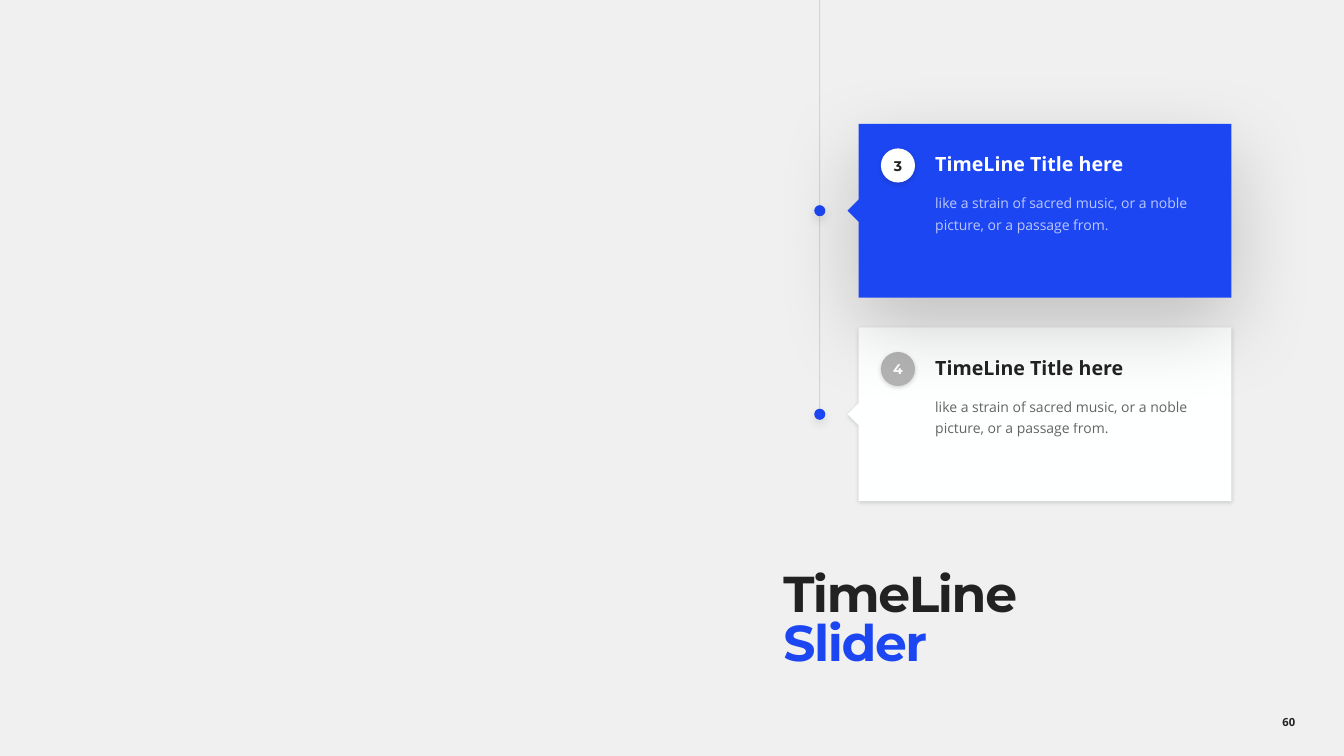
from lxml.etree import SubElement
from pptx import Presentation
from pptx.dml.color import RGBColor
from pptx.enum.shapes import MSO_CONNECTOR, MSO_SHAPE
from pptx.enum.text import MSO_ANCHOR, PP_ALIGN
from pptx.oxml.ns import qn
from pptx.util import Cm, Pt

BACKGROUND = RGBColor(0xF0, 0xF0, 0xF0)
INK = RGBColor(0x22, 0x22, 0x22)
BLUE = RGBColor(0x1D, 0x46, 0xF3)
PAPER = RGBColor(0xFE, 0xFF, 0xFF)
WHITE = RGBColor(0xFF, 0xFF, 0xFF)
GRAY = RGBColor(0xB4, 0xB4, 0xB4)

# Shadows: opacity in percent, blur and distance in points
SOFT = (15, 3, 1)
DEEP = (20, 60, 20)
DOT_GLOW = (11, 7, 3)

CARD_LEFT, CARD_WIDTH, CARD_HEIGHT = 21.36, 9.67, 4.38
POINTER = 0.28
LINE_X = 20.66
CARD_TITLE = "TimeLine Title here"
CARD_BODY = "like a strain of sacred music, or a noble picture, or a passage from."


def set_opacity(element, percent):
    for color in element.iter(qn("a:srgbClr")):
        SubElement(color, qn("a:alpha"), val=str(percent * 1000))


def paint(shape, color, shadow):
    shape.fill.solid()
    shape.fill.fore_color.rgb = color
    shape.line.fill.background()
    shape.shadow.inherit = False
    opacity, blur, distance = shadow
    effects = shape._element.spPr.find(qn("a:effectLst"))
    outer = SubElement(effects, qn("a:outerShdw"), blurRad=str(Pt(blur)),
                       dist=str(Pt(distance)), dir="5400000", algn="t", rotWithShape="0")
    SubElement(outer, qn("a:srgbClr"), val="000000")
    set_opacity(outer, opacity)


def set_frame(frame, left=0, top=0, right=0, bottom=0, anchor=MSO_ANCHOR.TOP):
    frame.word_wrap = True
    frame.vertical_anchor = anchor
    frame.margin_left, frame.margin_top = Cm(left), Cm(top)
    frame.margin_right, frame.margin_bottom = Cm(right), Cm(bottom)


def add_run(paragraph, text, size, font, color, bold=True):
    run = paragraph.add_run()
    run.text = text
    run.font.size = Pt(size)
    run.font.name = font
    run.font.bold = bold
    run.font.color.rgb = color
    return run


def add_circle(slide, left, top, size, color, shadow):
    circle = slide.shapes.add_shape(MSO_SHAPE.OVAL, Cm(left), Cm(top), Cm(size), Cm(size))
    paint(circle, color, shadow)
    return circle


def add_card(slide, top, number, fill, shadow, text_color, badge_fill, badge_color):
    # Panel with a pointer towards the line
    left, right = CARD_LEFT, CARD_LEFT + CARD_WIDTH
    body, middle, bottom = left + POINTER, top + CARD_HEIGHT / 2, top + CARD_HEIGHT
    outline = [(right, top), (right, bottom), (body, bottom), (body, middle + POINTER),
               (left, middle), (body, middle - POINTER)]
    builder = slide.shapes.build_freeform(Cm(body), Cm(top))
    builder.add_line_segments([(Cm(x), Cm(y)) for x, y in outline], close=True)
    panel = builder.convert_to_shape()
    paint(panel, fill, shadow)

    # Heading and body text
    frame = panel.text_frame
    set_frame(frame, 2.21, 0.71, 0.71, 0.13)
    heading = frame.paragraphs[0]
    heading.alignment = PP_ALIGN.LEFT
    add_run(heading, CARD_TITLE, 14, "Open Sans", text_color)
    description = frame.add_paragraph()
    description.alignment = PP_ALIGN.LEFT
    description.line_spacing = 1.3
    description.space_before = Pt(10)
    run = add_run(description, CARD_BODY, 10, "Open Sans", text_color, bold=False)
    set_opacity(run._r, 70)

    # Number badge
    badge = add_circle(slide, left + 0.84, top + 0.62, 0.86, badge_fill, SOFT)
    set_frame(badge.text_frame, anchor=MSO_ANCHOR.MIDDLE)
    label = badge.text_frame.paragraphs[0]
    label.alignment = PP_ALIGN.CENTER
    add_run(label, number, 10, "Montserrat", badge_color)


def add_timeline(slide, end, stops):
    line = slide.shapes.add_connector(MSO_CONNECTOR.STRAIGHT, Cm(LINE_X), Cm(0),
                                      Cm(LINE_X), Cm(end))
    line.line.color.rgb = INK
    line.line.width = Pt(0.5)
    set_opacity(line._element.spPr, 20)
    SubElement(line._element.spPr, qn("a:effectLst"))
    size = 0.28
    for stop in stops:
        add_circle(slide, LINE_X - size / 2, stop - size / 2, size, BLUE, DOT_GLOW)


def add_title(slide, left, top, width, height):
    box = slide.shapes.add_textbox(Cm(left), Cm(top), Cm(width), Cm(height))
    set_frame(box.text_frame, top=0.53)
    title = box.text_frame.paragraphs[0]
    title.line_spacing = 0.8
    first = add_run(title, "TimeLine", 36, "Montserrat", INK)
    title.add_line_break()
    second = add_run(title, "Slider", 36, "Montserrat", BLUE)
    for run in (first, second):
        run._r.get_or_add_rPr().set("spc", "-100")


def add_page_number(slide, left, top, width, height):
    box = slide.shapes.add_textbox(Cm(left), Cm(top), Cm(width), Cm(height))
    set_frame(box.text_frame, anchor=MSO_ANCHOR.MIDDLE)
    number = box.text_frame.paragraphs[0]
    number.alignment = PP_ALIGN.CENTER
    add_run(number, "60", 8, "Open Sans", INK)


def main():
    deck = Presentation()
    deck.slide_width, deck.slide_height = Cm(33.87), Cm(19.05)
    slide = deck.slides.add_slide(deck.slide_layouts[6])
    slide.background.fill.solid()
    slide.background.fill.fore_color.rgb = BACKGROUND

    third_top, fourth_top = 3.12, 8.25
    stops = [top + CARD_HEIGHT / 2 for top in (third_top, fourth_top)]
    add_page_number(slide, 31.09, 17.68, 2.78, 1.02)
    add_card(slide, fourth_top, "4", PAPER, SOFT, INK, GRAY, PAPER)
    add_title(slide, 19.74, 13.94, 11.33, 3.48)
    add_timeline(slide, stops[-1], stops)
    # The active card comes last so its shadow falls over the next one
    add_card(slide, third_top, "3", BLUE, DEEP, WHITE, PAPER, INK)
    deck.save("out.pptx")


if __name__ == "__main__":
    main()
